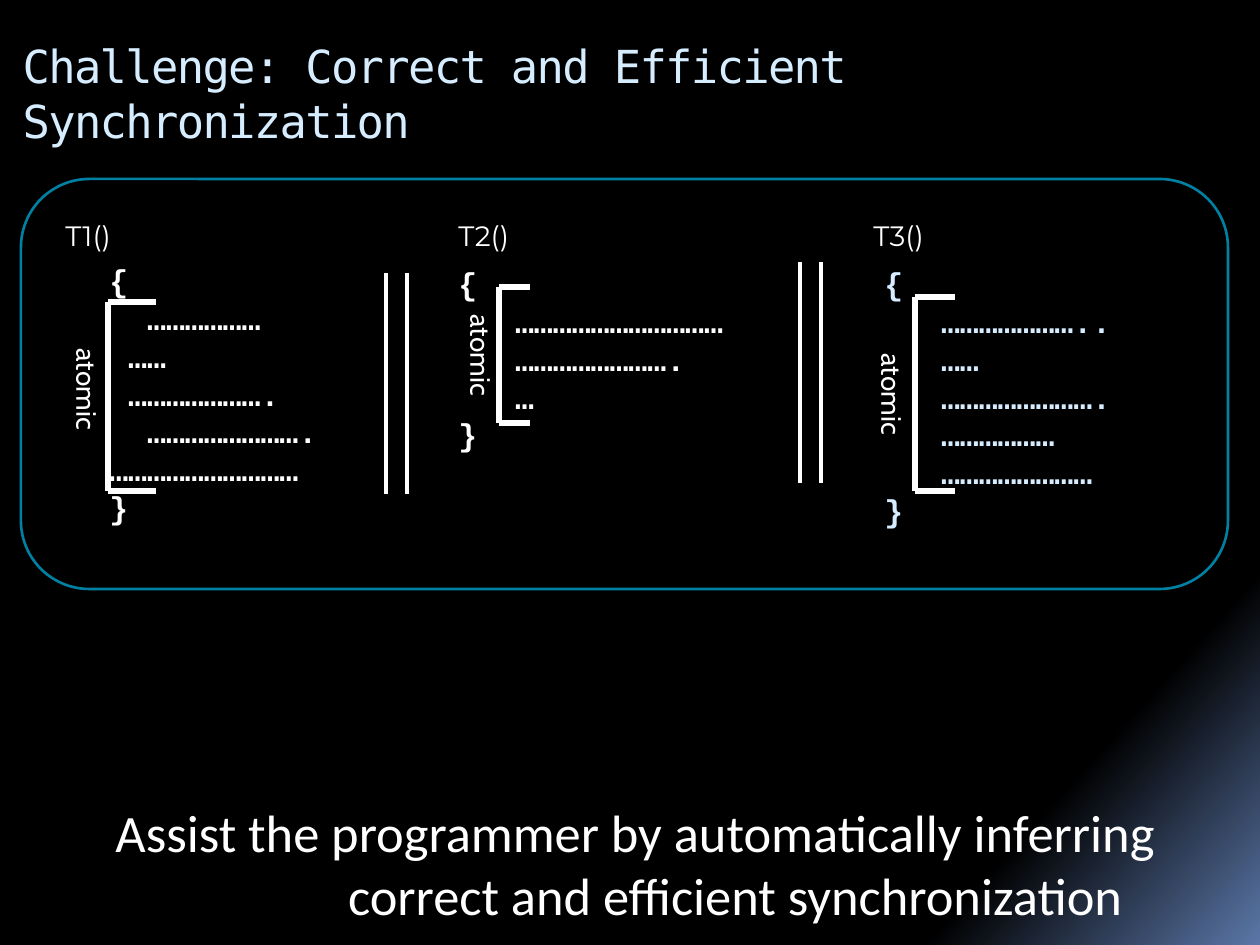
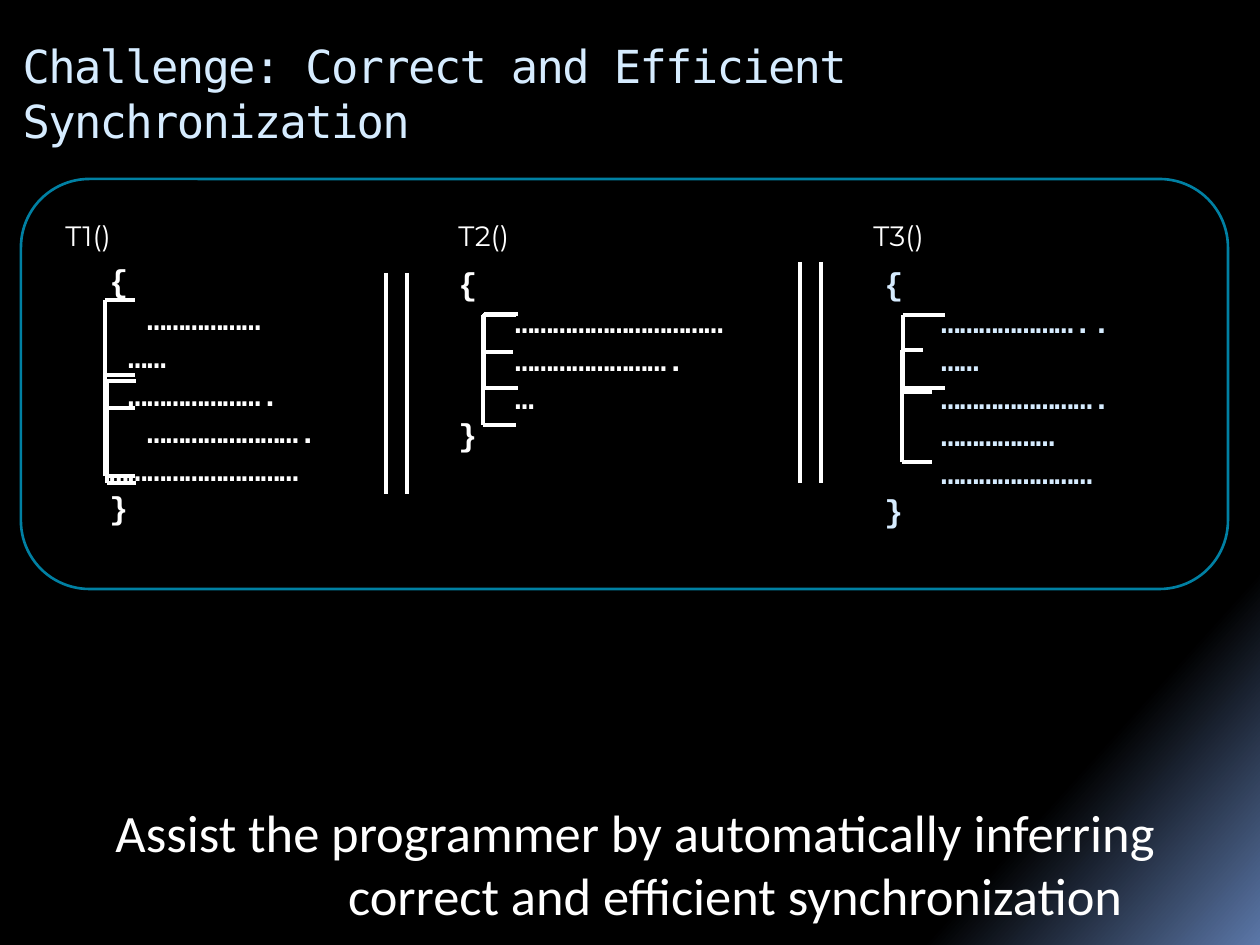
from pptx import Presentation, util as u
from pptx.dml.color import RGBColor
from pptx.enum import shapes, text

SCALE = 914400 / 126
WHITE, PALE, TEAL, BLACK, GLOW = "FFFFFF", "D6ECFF", "0080A3", "000000", "5B77A8"
CODE_SIZE, CODE_PITCH, CODE_COLUMN = 18, 21.6, 10.8


def px(length):
    return u.Emu(round(length * SCALE))


def rgb(value):
    return RGBColor.from_string(value)


class Deck:
    def __init__(self):
        self.presentation = Presentation()
        self.presentation.slide_width = px(1260)
        self.presentation.slide_height = px(945)
        self.slide = None
        fill = self.presentation.slide_master.background.fill
        fill.gradient()
        fill.gradient_angle = 360 - 42
        for stop, position, color in zip(fill.gradient_stops, (0.84, 1), (BLACK, GLOW)):
            stop.position = position
            stop.color.rgb = rgb(color)

    def font(self, paragraph, name, size, color=WHITE, bold=False):
        paragraph.font.name = name
        paragraph.font.size = u.Pt(size)
        paragraph.font.color.rgb = rgb(color)
        paragraph.font.bold = bold

    def add_slide(self, title):
        self.slide = self.presentation.slides.add_slide(self.presentation.slide_layouts[5])
        shape = self.slide.shapes.title
        shape.left, shape.top, shape.width, shape.height = map(px, (10, 32, 1237, 157))
        frame = shape.text_frame
        frame.text = title
        frame.auto_size = text.MSO_AUTO_SIZE.NONE
        frame.vertical_anchor = text.MSO_ANCHOR.TOP
        paragraph = frame.paragraphs[0]
        paragraph.alignment = text.PP_ALIGN.LEFT
        self.font(paragraph, "DejaVu Sans Mono", 26, PALE)
        paragraph.runs[0]._r.get_or_add_rPr().set("spc", "-100")

    def text_box(self, box, lines, name, size, color=WHITE, bold=False, wrap=True):
        shape = self.slide.shapes.add_textbox(*map(px, box))
        frame = shape.text_frame
        frame.word_wrap = wrap
        frame.text = "\n".join(lines)
        for paragraph in frame.paragraphs:
            self.font(paragraph, name, size, color, bold)
        return shape

    def thread_name(self, left, width, name):
        shape = self.text_box((left, 199, width, 73), [name], "Montserrat", 16)
        shape.text_frame.vertical_anchor = text.MSO_ANCHOR.MIDDLE

    def code(self, box, statements, color=WHITE):
        rows = [(0, "{"), *((columns, "…" * count + dots) for columns, count, dots in statements), (0, "}")]
        shape = self.text_box(box, [row for _, row in rows], "Courier New", CODE_SIZE, color, True)
        for paragraph, (columns, _) in zip(shape.text_frame.paragraphs, rows):
            paragraph.line_spacing = u.Pt(CODE_PITCH)
            properties = paragraph._p.get_or_add_pPr()
            properties.set("marL", str(u.Pt(columns * CODE_COLUMN)))
            properties.set("indent", "0")

    def line(self, start, end, width):
        connector = self.slide.shapes.add_connector(
            shapes.MSO_CONNECTOR.STRAIGHT, *map(px, (*start, *end)))
        connector.line.color.rgb = rgb(WHITE)
        connector.line.width = u.Pt(width)
        properties = connector._element.spPr
        properties.append(properties.makeelement(
            "{http://schemas.openxmlformats.org/drawingml/2006/main}effectLst", {}))

    def bracket(self, left, top, bottom, arm, width=2):
        self.line((left, bottom), (left, top), width)
        for y in (top, bottom):
            self.line((left, y), (left + arm, y), width)

    def parallel_bars(self, left, top):
        for x in (left, left + 21):
            self.line((x, top), (x, top + 221), 2)

    def atomic_label(self, left, top):
        shape = self.text_box((left, top, 108, 47), ["atomic"], "Cabin", 16, wrap=False)
        shape.rotation = 90

    def panel(self, box):
        shape = self.slide.shapes.add_shape(shapes.MSO_SHAPE.ROUNDED_RECTANGLE, *map(px, box))
        shape.shadow.inherit = False
        shape.fill.background()
        shape.line.color.rgb = rgb(TEAL)
        shape.line.width = u.Pt(1.5)

    def closing(self, lines):
        shape = self.text_box((95, 794, 1081, 130), lines, "Calibri", 30)
        paragraphs = shape.text_frame.paragraphs
        for paragraph in paragraphs:
            paragraph.alignment = text.PP_ALIGN.CENTER
        properties = paragraphs[1]._p.get_or_add_pPr()
        properties.set("marL", str(px(200)))
        properties.set("indent", "0")

    def threads_slide(self):
        self.add_slide("Challenge: Correct and Efficient Synchronization")
        self.panel((21, 179, 1207, 410))
        for left, width, name in ((53, 284, "T1()"), (446, 210, "T2()"), (861, 284, "T3()")):
            self.thread_name(left, width, name)
        self.code((97, 255, 292, 280),
                  [(2, 6, ""), (1, 2, ""), (1, 7, "."), (2, 8, "."), (0, 10, "")])
        self.code((446, 258, 315, 202), [(3, 11, ""), (3, 8, "."), (3, 1, "")])
        self.code((872, 258, 305, 277),
                  [(3, 7, ".."), (3, 2, ""), (3, 8, "."), (3, 6, ""), (3, 8, "")], PALE)
        self.parallel_bars(386, 273)
        self.parallel_bars(800, 262)
        self.closing(["Assist the programmer by automatically inferring",
                      "correct and efficient synchronization"])


COARSE_BRACKETS = [(108, 302, 491, 48), (499, 287, 423, 31), (915, 297, 491, 40)]
ATOMIC_LABELS = [(33, 367), (427, 333), (838, 372)]
FINE_BRACKETS = [
    (105, 300, 408, 30), (105, 375, 476, 30), (107, 381, 483, 29),
    (484, 314, 388, 34), (483, 315, 425, 33), (483, 352, 425, 30),
    (903, 315, 388, 42), (902, 350, 462, 21), (902, 392, 462, 30),
]

deck = Deck()

deck.threads_slide()
for bracket in COARSE_BRACKETS:
    deck.bracket(*bracket, width=3)
for label in ATOMIC_LABELS:
    deck.atomic_label(*label)

deck.threads_slide()
for bracket in FINE_BRACKETS:
    deck.bracket(*bracket)

deck.presentation.save("out.pptx")
